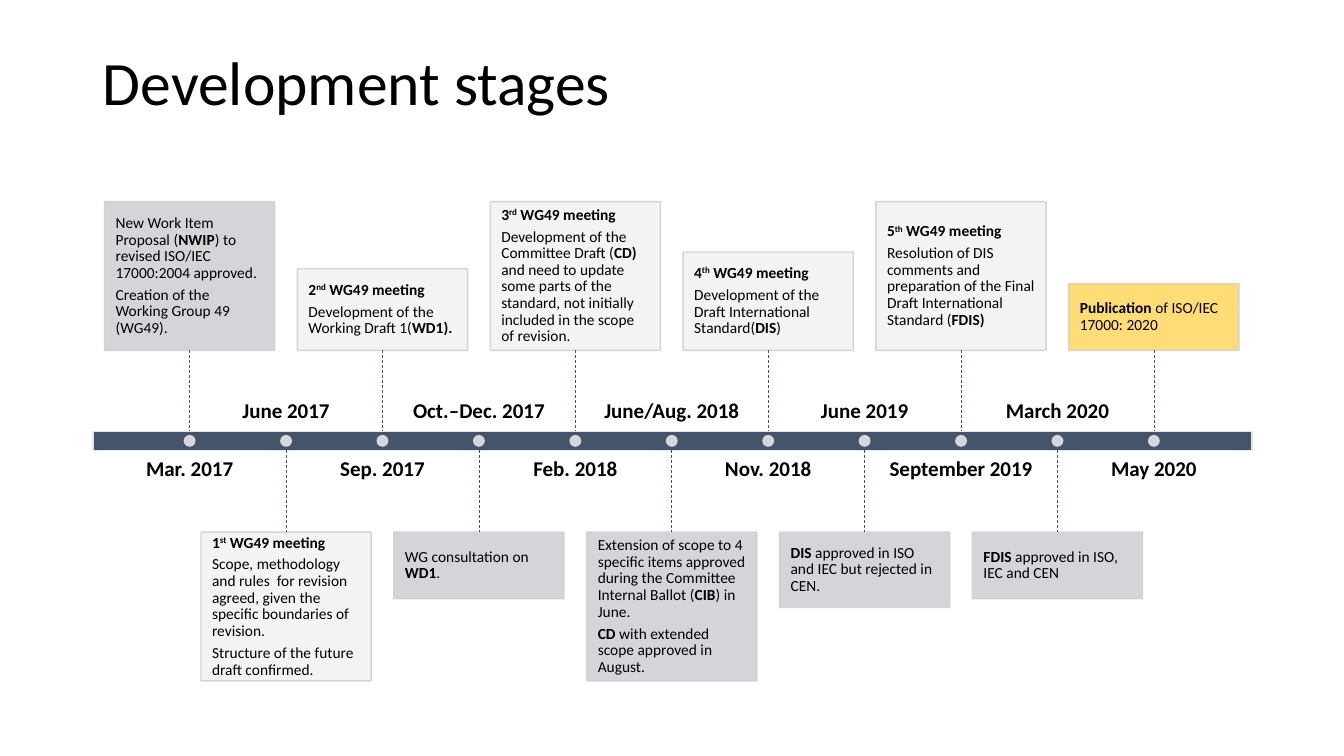
from dataclasses import dataclass

from lxml.etree import SubElement
from pptx import Presentation
from pptx.dml.color import RGBColor
from pptx.enum.dml import MSO_LINE
from pptx.enum.shapes import MSO_CONNECTOR, MSO_SHAPE
from pptx.enum.text import MSO_ANCHOR, MSO_AUTO_SIZE, PP_ALIGN
from pptx.oxml.ns import qn
from pptx.util import Cm, Pt

COLORS = {
    "text": "000000",
    "bar": "44546A",
    "dot": "E7E6E6",
    "edge": "CFD1D4",
    "stage": "CFD1D4",
    "meeting": "F2F2F2",
    "publication": "FFD966",
}
FONT = "Calibri"

# Lengths in centimetres
FIRST_X, STEP = 4.78, 2.43
BAR_LEFT, BAR_TOP, BAR_W, BAR_H = 2.34, 10.87, 29.21, 0.48
BAR_BOTTOM = BAR_TOP + BAR_H
UPPER_BOX_BOTTOM, LOWER_BOX_TOP = 8.83, 13.41
BOX_W, BOX_INSET = 4.29, 0.28
DATE_W, DATE_H = 3.89, 1.37
UPPER_DATE_TOP, LOWER_DATE_TOP = 9.3, 11.56
DOT = 0.3


@dataclass
class Event:
    date: str
    kind: str
    height: float
    paragraphs: list[str]


# In paragraphs, *...* is bold and ^...^ is superscript.
EVENTS = [
    Event("Mar. 2017", "stage", 3.75, [
        "New Work Item Proposal (*NWIP*) to revised ISO/IEC 17000:2004 approved.",
        "Creation of the Working Group 49 (WG49)."]),
    Event("June 2017", "meeting", 3.75, [
        "*1^st^ WG49 meeting*",
        "Scope, methodology and rules  for revision agreed, given the specific "
        "boundaries of revision.",
        "Structure of the future draft confirmed."]),
    Event("Sep. 2017", "meeting", 2.06, [
        "*2^nd^ WG49 meeting*",
        "Development of the Working Draft 1(*WD1).*"]),
    Event("Oct.–Dec. 2017", "stage", 1.68, ["WG consultation on* WD1*."]),
    Event("Feb. 2018", "meeting", 3.75, [
        "*3^rd^ WG49 meeting*",
        "Development of the Committee Draft (*CD) *and need to update some parts "
        "of the standard, not initially included in the scope of revision."]),
    Event("June/Aug. 2018", "stage", 3.75, [
        "Extension of scope to 4 specific items approved during the Committee "
        "Internal Ballot (*CIB*) in June.",
        "*CD* with extended scope approved in August."]),
    Event("Nov. 2018", "meeting", 2.48, [
        "*4^th^ WG49 meeting*",
        "Development of the Draft International Standard(*DIS*)"]),
    Event("June 2019", "stage", 1.9, [
        "*DIS *approved in ISO and IEC but rejected in CEN."]),
    Event("September 2019", "meeting", 3.75, [
        "*5^th^ WG49 meeting*",
        "Resolution of DIS comments and preparation of the Final Draft "
        "International Standard (*FDIS)*"]),
    Event("March 2020", "stage", 1.68, ["*FDIS *approved in ISO, IEC and CEN"]),
    Event("May 2020", "publication", 1.68, ["*Publication* of ISO/IEC 17000: 2020"]),
]


def rgb(name: str) -> RGBColor:
    return RGBColor.from_string(COLORS[name])


def set_alpha(fill_parent, percent: int) -> None:
    """Make the solid fill directly under the given XML element translucent."""
    color = fill_parent.find(qn("a:solidFill"))[0]
    SubElement(color, qn("a:alpha")).set("val", str(percent * 1000))


def add_solid(slide, preset, left, top, width, height, fill, edge=None, alpha=100):
    sp = slide.shapes.add_shape(preset, Cm(left), Cm(top), Cm(width), Cm(height))
    sp.shadow.inherit = False
    sp.fill.solid()
    sp.fill.fore_color.rgb = rgb(fill)
    if edge:
        sp.line.color.rgb = rgb(edge)
        sp.line.width = Pt(1)
    else:
        sp.line.fill.background()
    if alpha < 100:
        set_alpha(sp._element.spPr, alpha)
        if edge:
            set_alpha(sp.line._ln, alpha)
    return sp


def fill_text(tf, paragraphs: list[str], size: float, align, anchor, inset: float) -> None:
    tf.word_wrap = True
    tf.auto_size = MSO_AUTO_SIZE.NONE
    tf.vertical_anchor = anchor
    tf.margin_left = tf.margin_right = tf.margin_top = tf.margin_bottom = Cm(inset)
    for i, markup in enumerate(paragraphs):
        p = tf.add_paragraph() if i else tf.paragraphs[0]
        p.alignment = align
        p.line_spacing = 0.9
        p.space_after = Pt(round(size * 0.35, 1))
        add_runs(p, markup, size)


def add_runs(p, markup: str, size: float) -> None:
    for b, section in enumerate(markup.split("*")):
        for s, piece in enumerate(section.split("^")):
            if not piece:
                continue
            r = p.add_run()
            r.text = piece
            r.font.name = FONT
            r.font.size = Pt(size)
            r.font.bold = b % 2 == 1
            r.font.color.rgb = rgb("text")
            if s % 2:
                r.font._element.set("baseline", "30000")


def add_dashed_line(slide, x: float, top: float, bottom: float) -> None:
    line = slide.shapes.add_connector(
        MSO_CONNECTOR.STRAIGHT, Cm(x), Cm(top), Cm(x), Cm(bottom))
    line.line.color.rgb = rgb("bar")
    line.line.width = Pt(0.5)
    line.line.dash_style = MSO_LINE.DASH
    SubElement(line._element.spPr, qn("a:effectLst"))


def add_event(slide, event: Event, x: float, box_above: bool) -> None:
    """Draw box, line, date and dot; the date sits across the bar from the box."""
    if box_above:
        box_top = UPPER_BOX_BOTTOM - event.height
        line_span = UPPER_BOX_BOTTOM, BAR_TOP
        date_top, date_anchor = LOWER_DATE_TOP, MSO_ANCHOR.TOP
    else:
        box_top = LOWER_BOX_TOP
        line_span = BAR_BOTTOM, LOWER_BOX_TOP
        date_top, date_anchor = UPPER_DATE_TOP, MSO_ANCHOR.BOTTOM

    box = add_solid(slide, MSO_SHAPE.RECTANGLE, x - BOX_W / 2, box_top,
                    BOX_W, event.height, event.kind, "edge", 90)
    fill_text(box.text_frame, event.paragraphs, 11, PP_ALIGN.LEFT,
              MSO_ANCHOR.MIDDLE, BOX_INSET)
    add_dashed_line(slide, x, *line_span)
    date = slide.shapes.add_textbox(
        Cm(x - DATE_W / 2), Cm(date_top), Cm(DATE_W), Cm(DATE_H))
    fill_text(date.text_frame, [f"*{event.date}*"], 15, PP_ALIGN.CENTER, date_anchor, 0)
    add_solid(slide, MSO_SHAPE.OVAL, x - DOT / 2, BAR_TOP + (BAR_H - DOT) / 2,
              DOT, DOT, "dot", alpha=90)


def add_title(slide, text: str) -> None:
    title = slide.shapes.title
    title.left, title.top, title.width, title.height = Cm(2.34), Cm(0.56), Cm(29.21), Cm(3.18)
    tf = title.text_frame
    tf.text = text
    tf.vertical_anchor = MSO_ANCHOR.MIDDLE
    p = tf.paragraphs[0]
    p.alignment = PP_ALIGN.LEFT
    p.line_spacing = 0.9
    font = p.runs[0].font
    font.name, font.size = FONT, Pt(44)
    font.color.rgb = rgb("text")


def main() -> None:
    prs = Presentation()
    prs.slide_width, prs.slide_height = Cm(33.87), Cm(19.05)
    slide = prs.slides.add_slide(prs.slide_layouts[5])
    add_title(slide, "Development stages")
    add_solid(slide, MSO_SHAPE.RECTANGLE, BAR_LEFT, BAR_TOP, BAR_W, BAR_H, "bar", "dot")
    for i, event in enumerate(EVENTS):
        add_event(slide, event, FIRST_X + i * STEP, i % 2 == 0)
    prs.save("out.pptx")


if __name__ == "__main__":
    main()
